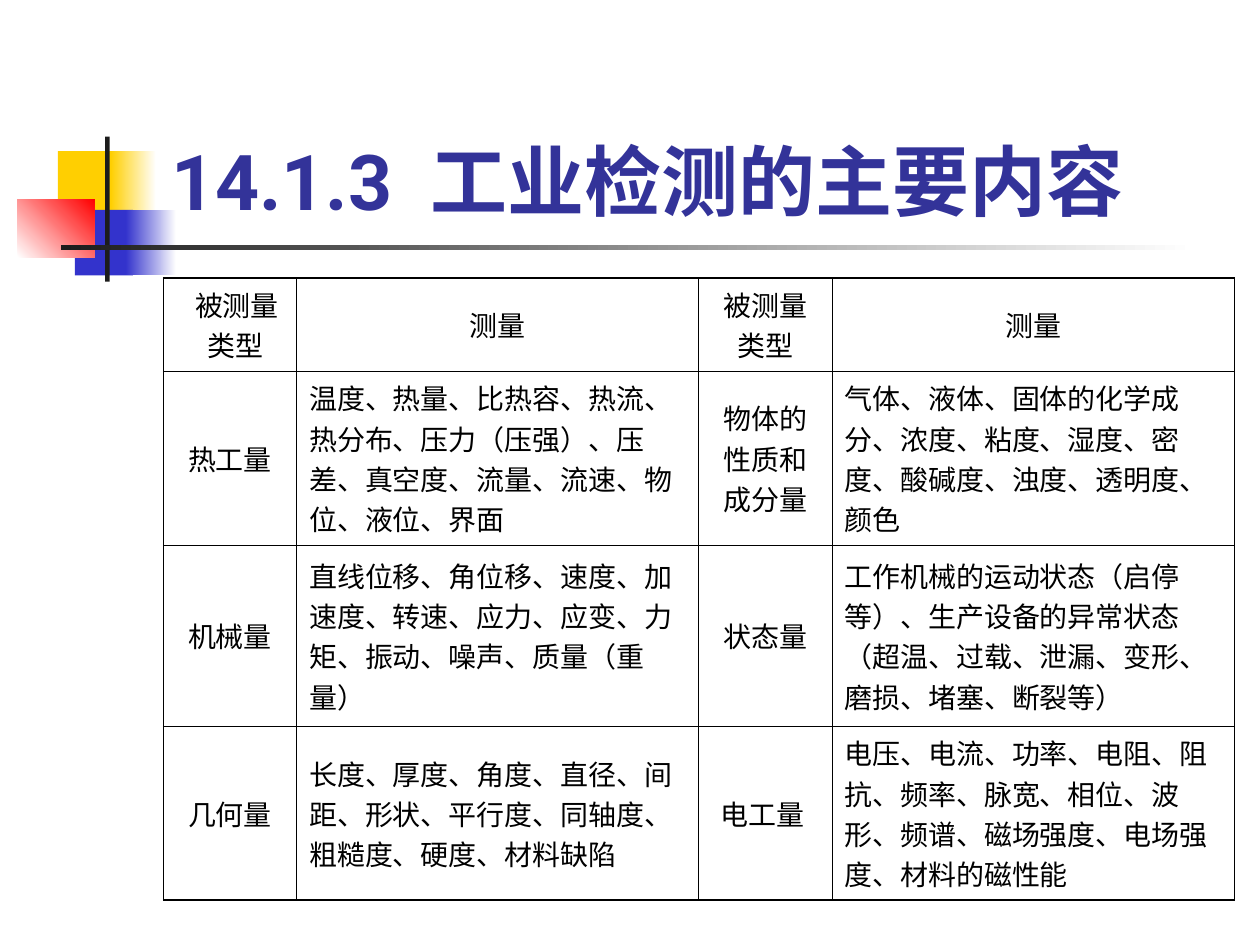
from lxml.etree import SubElement
from pptx import Presentation
from pptx.dml.color import RGBColor
from pptx.enum.shapes import MSO_SHAPE
from pptx.enum.text import MSO_ANCHOR, PP_ALIGN
from pptx.oxml import parse_xml
from pptx.oxml.ns import nsdecls, qn
from pptx.util import Inches, Pt

COLS, ROWS = 100, 75
HUES = {
    "gold": "FFCF01", "blue": "3333CC", "red": "FF0000", "white": "FFFFFF",
    "dark": "1C1C1C", "title": "333399", "black": "000000",
}
THIN, THICK = 0.45, 1.1
HANG = (3.8, -3.8)
GRID = [
    ["被测量类型", "测量", "被测量类型", "测量"],
    ["热工量", "温度、热量、比热容、热流、热分布、压力（压强）、压差、真空度、流量、流速、物位、液位、界面",
     "物体的性质和成分量", "气体、液体、固体的化学成分、浓度、粘度、湿度、密度、酸碱度、浊度、透明度、颜色"],
    ["机械量", "直线位移、角位移、速度、加速度、转速、应力、应变、力矩、振动、噪声、质量（重量）",
     "状态量", "工作机械的运动状态（启停等）、生产设备的异常状态（超温、过载、泄漏、变形、磨损、堵塞、断裂等）"],
    ["几何量", "长度、厚度、角度、直径、间距、形状、平行度、同轴度、粗糙度、硬度、材料缺陷",
     "电工量 ", "电压、电流、功率、电阻、阻抗、频率、脉宽、相位、波形、频谱、磁场强度、电场强度、材料的磁性能"],
]
INDENTS = {(0, 0): (0.9, 0.2), (0, 2): (0, 0), (1, 2): (0, 0)}


def hue(name):
    return RGBColor.from_string(HUES[name])


class Deck:
    def __init__(self):
        self.show = Presentation()
        self.show.slide_width, self.show.slide_height = Inches(10), Inches(7.5)
        self.slide = self.show.slides.add_slide(self.show.slide_layouts[6])

    def col(self, count):
        return round(self.show.slide_width * count / COLS)

    def row(self, count):
        return round(self.show.slide_height * count / ROWS)

    def area(self, x, y, w, h):
        return self.col(x), self.row(y), self.col(w), self.row(h)

    def font(self, para, name, size, color, bold=False):
        for run in para.runs:
            run.font.name, run.font.size, run.font.bold = name, Pt(size), bold
            run.font.color.rgb = hue(color)

    def block(self, area, *tones, angle=0):
        shape = self.slide.shapes.add_shape(MSO_SHAPE.RECTANGLE, *self.area(*area))
        shape.shadow.inherit = False
        shape.line.fill.background()
        if len(tones) == 1:
            shape.fill.solid()
            shape.fill.fore_color.rgb = hue(tones[0])
            return
        shape.fill.gradient()
        shape.fill.gradient_angle = angle
        for stop, tone in zip(shape.fill.gradient_stops, tones):
            stop.color.rgb = hue(tone)

    def title(self, area, text, tab):
        frame = self.slide.shapes.add_textbox(*self.area(*area)).text_frame
        frame.word_wrap = True
        frame.vertical_anchor = MSO_ANCHOR.BOTTOM
        frame.text = text
        para = frame.paragraphs[0]
        stops = SubElement(para._p.get_or_add_pPr(), qn("a:tabLst"))
        SubElement(stops, qn("a:tab"), pos=str(self.col(tab)), algn="l")
        self.font(para, "Roboto", 44, "title", True)

    def border(self, cell, widths):
        props = cell._tc.get_or_add_tcPr()
        for spot, (side, width) in enumerate(widths.items()):
            props.insert(spot, parse_xml(
                f'<a:ln{side} {nsdecls("a")} w="{Pt(width)}"><a:solidFill>'
                f'<a:srgbClr val="{HUES["black"]}"/></a:solidFill></a:ln{side}>'))

    def cell(self, cell, text, indent, widths):
        cell.text = text
        cell.vertical_anchor = MSO_ANCHOR.MIDDLE
        cell.fill.background()
        para = cell.text_frame.paragraphs[0]
        props = para._p.get_or_add_pPr()
        props.set("hangingPunct", "0")
        if indent:
            para.alignment = PP_ALIGN.CENTER
            for key, count in zip(("marL", "indent"), indent):
                props.set(key, str(self.col(count)))
        else:
            para.alignment = PP_ALIGN.LEFT
        self.font(para, "Times New Roman", 16, "black")
        self.border(cell, widths)

    def table(self, area, cols, rows, grid):
        table = self.slide.shapes.add_table(len(rows), len(cols), *self.area(*area)).table
        table.first_row = table.horz_banding = False
        for part, count in zip(table.columns, cols):
            part.width = self.col(count)
        for part, count in zip(table.rows, rows):
            part.height = self.row(count)
        last = len(rows) - 1
        for r, line in enumerate(grid):
            for c, text in enumerate(line):
                body = r > 0 and c % 2 == 1
                indent = None if body else INDENTS.get((r, c), HANG)
                widths = {
                    "L": THIN,
                    "R": THIN,
                    "T": THICK if r == 0 else THIN,
                    "B": THICK if r == last else THIN,
                }
                self.cell(table.cell(r, c), text, indent, widths)


def main():
    deck = Deck()
    deck.block((4.6, 12, 4.8, 5.2), "gold")
    deck.block((8.8, 12, 3.6, 5.2), "gold", "white")
    deck.block((5.95, 16.65, 4.6, 5.2), "blue")
    deck.block((10, 16.65, 4, 5.2), "blue", "white")
    deck.block((1.4, 15.8, 6.1, 4.65), "white", "red", angle=45)
    deck.block((8.35, 10.85, 0.35, 11.5), "dark")
    deck.block((4.85, 19.45, 90, 0.38), "dark", "white")
    deck.title((12.6, 2.4, 85.2, 16), "14.1.3\t工业检测的主要内容", 20.6)
    deck.table((12.95, 22.05, 85, 49.4), [10.6, 31.9] * 2, [7.4, 13.8, 14.4, 13.8], GRID)
    deck.show.save("out.pptx")


if __name__ == "__main__":
    main()
